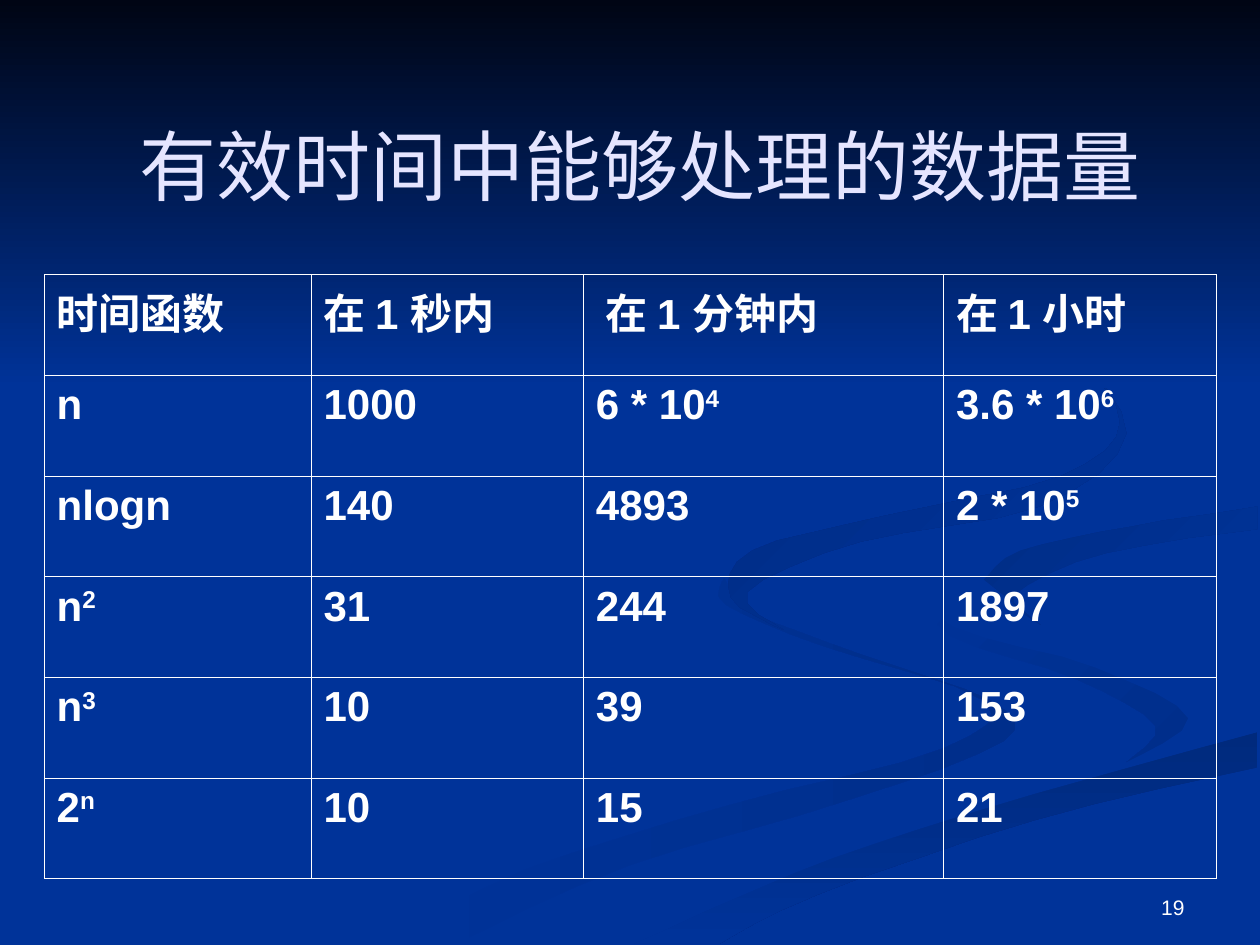
"""Build the slide on how much data fits in a given running time."""
import pptx
import pptx.util
import pptx.dml.color
import pptx.enum.shapes
import pptx.enum.text
import pptx.oxml

Cm, Pt = pptx.util.Cm, pptx.util.Pt
RGB = pptx.dml.color.RGBColor
ALIGN, ANCHOR = pptx.enum.text.PP_ALIGN, pptx.enum.text.MSO_ANCHOR

BLUE = RGB(0x00, 0x33, 0x99)
NIGHT = RGB(0x00, 0x05, 0x14)
LILAC = RGB(0xE5, 0xE5, 0xFF)
WHITE = RGB(0xFF, 0xFF, 0xFF)
DUSK = RGB(0x00, 0x2E, 0x8B)
DEEP = RGB(0x00, 0x2A, 0x7D)
SHADE = RGB(0x00, 0x2D, 0x86)
DIM = RGB(0x00, 0x2B, 0x82)

TITLE = "有效时间中能够处理的数据量"
NUMBER = "19"
ROWS = [
    ["时间函数", "在 1 秒内", " 在 1 分钟内", "在 1 小时"],
    ["n", "1000", "6 * 10^4", "3.6 * 10^6"],
    ["nlogn", "140", "4893", "2 * 10^5"],
    ["n^2", "31", "244", "1897"],
    ["n^3", "10", "39", "153"],
    ["2^n", "10", "15", "21"],
]
WIDTHS = [5.38, 5.49, 7.26, 5.49]
HIGH = 2.03
UNIT = Cm(2.54) // 100
STEPS = 4

BEND = [(724, 464), (758, 498), (870, 530), (943, 570), (894, 605)]
RISE = [(503, 749), (630, 693), (764, 647), (998, 581)]
CREST = [(781, 460), (810, 437), (898, 418), (998, 402)]
RIBBONS = [
    (BLUE, DUSK, 0, [
        [(575, 459), (594, 485), (682, 519), (786, 556), (797, 588), (676, 634), (499, 687), (361, 749)],
        [(300, 749), (417, 690), (579, 639), (749, 594), (781, 556), (654, 513), (576, 480), (575, 459)]]),
    (BLUE, DUSK, 45, [
        BEND, [(894, 605), (917, 576), (854, 539), (755, 505), (724, 464)]]),
    (DEEP, BLUE, 90, [
        RISE, [(998, 609), (821, 651), (649, 710), (571, 749)]]),
    (BLUE, BLUE, 0, [
        BEND, [(894, 605), (663, 668), (477, 749)], RISE,
        [(998, 538), (848, 503), (781, 460)], CREST,
        [(998, 387), (808, 417), (724, 464)]]),
    (SHADE, BLUE, 45, [
        CREST, [(998, 420), (878, 439), (805, 472), (826, 496)], [(826, 496), (781, 460)]]),
    (DIM, BLUE, 45, [
        [(762, 233), (846, 279), (889, 335), (842, 378), (704, 409), (597, 437), (580, 474), (622, 500)],
        [(622, 500), (593, 470), (683, 430), (825, 402), (894, 344), (843, 275), (762, 233)]]),
]


def smooth(edge):
    ends = [edge[0], *edge, edge[-1]]
    curve = [edge[0]]
    for a, b, c, d in zip(ends, ends[1:], ends[2:], ends[3:]):
        for t in (i / STEPS for i in range(1, STEPS + 1)):
            curve.append(tuple(
                q + t * ((r - p) + t * ((2 * p - 5 * q + 4 * r - s)
                                        + t * (3 * q - p - 3 * r + s))) / 2
                for p, q, r, s in zip(a, b, c, d)))
    return curve


def blend(shape, start, end, turn):
    shape.shadow.inherit = False
    shape.line.fill.background()
    fill = shape.fill
    if start == end:
        fill.solid()
        fill.fore_color.rgb = start
        return
    fill.gradient()
    fill.gradient_angle = (360 - turn) % 360
    for stop, tint in zip(fill.gradient_stops, (start, end)):
        stop.color.rgb = tint


def write(para, text, size, face, tint, bold=False):
    for i, part in enumerate(text.split("^")):
        run = para.add_run()
        run.text = part
        font = run.font
        font.size, font.name, font.bold = Pt(size), face, bold
        font.color.rgb = tint
        if i:
            font._element.set("baseline", "30000")


def border(cell):
    props = cell._tc.get_or_add_tcPr()
    for side in "LRTB":
        props.append(pptx.oxml.parse_xml(
            f'<a:ln{side} xmlns:a="http://schemas.openxmlformats.org/drawingml/2006/main" '
            f'w="{Pt(0.45)}"><a:solidFill><a:srgbClr val="{WHITE}"/></a:solidFill></a:ln{side}>'))


def backdrop(slide):
    fill = slide.background.fill
    fill.solid()
    fill.fore_color.rgb = BLUE
    for start, end, turn, edges in RIBBONS:
        points = [point for edge in edges for point in smooth(edge)]
        pen = slide.shapes.build_freeform(*points[0], scale=UNIT)
        pen.add_line_segments(points[1:], close=True)
        blend(pen.convert_to_shape(), start, end, turn)
    sky = slide.shapes.add_shape(
        pptx.enum.shapes.MSO_SHAPE.RECTANGLE, 0, 0, Cm(25.4), Cm(7.82))
    blend(sky, NIGHT, BLUE, 90)


def label(box, text, size, face, tint, align, anchor):
    frame = box.text_frame
    frame.word_wrap = True
    frame.vertical_anchor = anchor
    para = frame.paragraphs[0]
    para.alignment = align
    write(para, text, size, face, tint)


def grid(slide):
    table = slide.shapes.add_table(
        len(ROWS), len(WIDTHS), Cm(0.89), Cm(5.54),
        Cm(sum(WIDTHS)), Cm(HIGH * len(ROWS))).table
    table.first_row = table.horz_banding = False
    for col, width in zip(table.columns, WIDTHS):
        col.width = Cm(width)
    for r, texts in enumerate(ROWS):
        table.rows[r].height = Cm(HIGH)
        for c, text in enumerate(texts):
            cell = table.cell(r, c)
            border(cell)
            cell.fill.background()
            para = cell.text_frame.paragraphs[0]
            props = para._p.get_or_add_pPr()
            props.set("marL", str(Cm(0.95)))
            props.set("indent", str(-Cm(0.95)))
            face = "Arial" if r or c else "Times New Roman"
            write(para, text, 24, face, WHITE, True)


def main():
    deck = pptx.Presentation()
    deck.slide_width, deck.slide_height = Cm(25.4), Cm(19.05)
    slide = deck.slides.add_slide(deck.slide_layouts[5])
    backdrop(slide)
    page = slide.shapes.add_textbox(Cm(18.21), Cm(17.35), Cm(5.92), Cm(1.32))
    label(page, NUMBER, 12, "Arial", WHITE, ALIGN.RIGHT, ANCHOR.BOTTOM)
    title = slide.shapes.title
    title.left, title.top, title.width, title.height = Cm(2.11), Cm(1.73), Cm(21.59), Cm(3.18)
    label(title, TITLE, 44, "Times New Roman", LILAC, ALIGN.CENTER, ANCHOR.MIDDLE)
    slide.shapes._spTree.append(title._element)
    grid(slide)
    deck.save("out.pptx")


if __name__ == "__main__":
    main()
